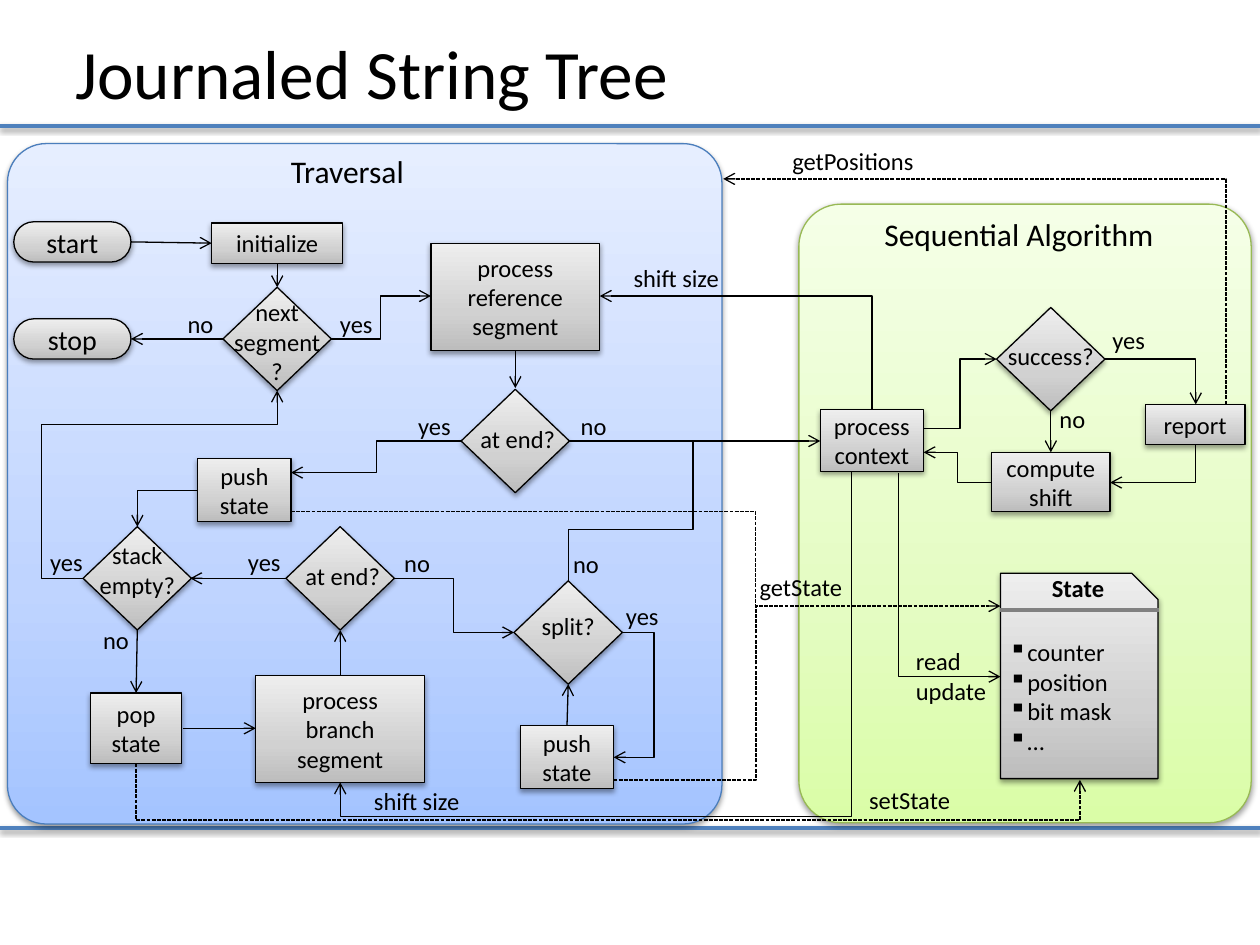
from dataclasses import dataclass

from lxml import etree
from pptx import Presentation
from pptx.dml.color import RGBColor
from pptx.enum.shapes import MSO_CONNECTOR, MSO_SHAPE
from pptx.enum.text import MSO_ANCHOR, PP_ALIGN
from pptx.oxml.ns import qn
from pptx.util import Emu, Inches, Pt

RECT = MSO_SHAPE.RECTANGLE
ROUND = MSO_SHAPE.ROUNDED_RECTANGLE
DIAMOND = MSO_SHAPE.DIAMOND
SNIP = MSO_SHAPE.SNIP_1_RECTANGLE
STRAIGHT, ELBOW = MSO_CONNECTOR.STRAIGHT, MSO_CONNECTOR.ELBOW
LEFT, CENTER = PP_ALIGN.LEFT, PP_ALIGN.CENTER
TOP, MIDDLE = MSO_ANCHOR.TOP, MSO_ANCHOR.MIDDLE
WIDTH, HEIGHT = Inches(10), Inches(7.5)
COLUMNS = 100
CELL = WIDTH / COLUMNS


@dataclass(frozen=True)
class Theme:
    font: str = "Calibri"
    ink: str = "000000"
    rule: str = "4F81BD"
    divider: str = "808080"
    blue_edge: str = "4B7EBC"
    green_edge: str = "98B955"
    gray: tuple = ("BDBDBD", "D1D1D1", "EEEEEE")
    blue: tuple = ("A4C4FF", "BFD4FF", "E6EEFF")
    green: tuple = ("DAFDA7", "E4FCC2", "F5FFE7")
    title: float = 39.6
    heading: float = 18
    terminal: float = 16
    body: float = 14
    thin: float = 0.75
    thick: float = 2


T = Theme()


def grid(*cells):
    return [Emu(round(c * CELL)) for c in cells]


def add(parent, tag, **attrs):
    return etree.SubElement(parent, qn("a:" + tag), {k: str(v) for k, v in attrs.items()})


def add_shadow(effects):
    shadow = add(effects, "outerShdw", blurRad=Pt(3.1), dist=Pt(1.6), dir=5400000, rotWithShape=0)
    add(add(shadow, "srgbClr", val=T.ink), "alpha", val=38000)


def set_gradient(sp, colors):
    sp.fill.gradient()
    grad = sp._element.spPr.find(qn("a:gradFill"))
    for child in list(grad):
        grad.remove(child)
    stops = add(grad, "gsLst")
    for pos, color in zip((0, 35000, 100000), colors):
        add(add(stops, "gs", pos=pos), "srgbClr", val=color)
    add(grad, "lin", ang=16200000, scaled=0)


def write(sp, text, size, align, anchor, bold=False):
    tf = sp.text_frame
    tf.word_wrap = True
    tf.vertical_anchor = anchor
    for i, line in enumerate(text.split("\n")):
        p = tf.add_paragraph() if i else tf.paragraphs[0]
        p.text = line
        p.alignment = align
        p.font.name = T.font
        p.font.size = Pt(size)
        p.font.bold = bold
        p.font.color.rgb = RGBColor.from_string(T.ink)
    return tf


def label(s, text, x, y, w, h, size=T.body, align=LEFT, anchor=TOP, bold=False):
    return write(s.shapes.add_textbox(*grid(x, y, w, h)), text, size, align, anchor, bold)


def box(s, kind, x, y, w, h, text="", size=T.body, colors=T.gray, edge=T.ink, radius=None):
    sp = s.shapes.add_shape(kind, *grid(x, y, w, h))
    if radius is not None:
        sp.adjustments[0] = radius
    set_gradient(sp, colors)
    sp.line.color.rgb = RGBColor.from_string(edge)
    sp.line.width = Pt(T.thin)
    sp.shadow.inherit = False
    add_shadow(sp._element.spPr.find(qn("a:effectLst")))
    if text:
        write(sp, text, size, CENTER, MIDDLE)


def decision(s, text, x, y, drop, shift=-0.2):
    box(s, DIAMOND, x, y, 8.6, 8.2)
    label(s, text, x + shift, y + drop, 9, 3.7, align=CENTER)


def elbow(s, points):
    (x1, y1), bend, (x2, y2) = points[0], points[1], points[-1]
    dx, dy = x2 - x1, y2 - y1
    vertical = bend[0] == x1
    if vertical:
        angle = 270 if dx * dy > 0 else 90
        u, v = (-dy, dx) if angle == 270 else (dy, -dx)
    else:
        angle = 180 if dx < 0 else 0
        u, v = (-dx, -dy) if angle else (dx, dy)
    cx, cy = (x1 + x2) / 2, (y1 + y2) / 2
    c = s.shapes.add_connector(ELBOW, *grid(cx - u / 2, cy - v / 2, cx + u / 2, cy + v / 2))
    spPr = c._element.spPr
    if angle:
        spPr.find(qn("a:xfrm")).set("rot", str(angle * 60000))
    geom = spPr.find(qn("a:prstGeom"))
    geom.set("prst", f"bentConnector{len(points) - 1}")
    guides = geom.find(qn("a:avLst"))
    if guides is None:
        guides = add(geom, "avLst")
    axis = 1 if vertical else 0
    for i, point in enumerate(points[1:-2], 1):
        start, end = points[0][axis], points[-1][axis]
        share = round((point[axis] - start) / (end - start) * 100000)
        add(guides, "gd", name=f"adj{i}", fmla=f"val {share}")
        axis = 1 - axis
    return c


def line(s, *points, color=T.ink, width=T.thin, arrow=True, dashed=False, shadow=False):
    if len(points) == 2:
        c = s.shapes.add_connector(STRAIGHT, *grid(*points[0], *points[1]))
    else:
        c = elbow(s, points)
    c.line.color.rgb = RGBColor.from_string(color)
    c.line.width = Pt(width)
    spPr = c._element.spPr
    ln = spPr.find(qn("a:ln"))
    if dashed:
        add(ln, "prstDash", val="sysDash")
    if arrow:
        add(ln, "tailEnd", type="arrow")
    effects = add(spPr, "effectLst")
    if shadow:
        add_shadow(effects)


def state_card(s):
    box(s, SNIP, 79.4, 45.5, 12.5, 16.3)
    line(s, (79.4, 48.4), (92, 48.4), color=T.divider, width=T.thick, arrow=False)
    label(s, "State", 82.5, 45, 6.4, 3.1, bold=True)
    tf = label(s, "counter\nposition\nbit mask\n…", 79.1, 50.1, 12.6, 10.1)
    for p in tf.paragraphs:
        pPr = p._p.get_or_add_pPr()
        pPr.set("marL", str(Inches(0.01)))
        pPr.set("indent", str(Inches(-0.31)))
        bullet = etree.Element(qn("a:buChar"), char="▪")
        pPr.insert(0, bullet)


def main():
    prs = Presentation()
    prs.slide_width, prs.slide_height = WIDTH, HEIGHT
    s = prs.slides.add_slide(prs.slide_layouts[6])
    for y in (10, 65.7):
        line(s, (0, y), (COLUMNS, y), color=T.rule, width=T.thick, arrow=False, shadow=True)
    box(s, ROUND, 63.4, 16.2, 35.9, 49.1, colors=T.green, edge=T.green_edge, radius=0.093)
    box(s, ROUND, 0.6, 11.4, 56.7, 54, colors=T.blue, edge=T.blue_edge, radius=0.057)
    label(s, "Journaled String Tree", 5, 1.7, 90, 8, T.title, anchor=MIDDLE)
    label(s, "Traversal", 22.1, 11.6, 14.2, 4, T.heading)
    label(s, "Sequential Algorithm", 69.2, 16.6, 23.8, 4, T.heading)
    state_card(s)

    for text, y in (("start", 17.6), ("stop", 25.3)):
        box(s, ROUND, 1.1, y, 9.3, 3.2, text, T.terminal, radius=0.5)
    for text, x, y, w, h in (
        ("initialize", 16.8, 17.7, 10.4, 3.2),
        ("process\nreference segment", 34.2, 19.3, 13.4, 8.5),
        ("process\nbranch\nsegment", 20.3, 53.6, 13.4, 8.5),
        ("push state", 15.7, 36.4, 7.4, 5),
        ("push state", 41.3, 57.6, 7.4, 5),
        ("pop state", 7.2, 55, 7.2, 5.6),
        ("process\ncontext", 65.1, 32.5, 8.2, 4.9),
        ("report", 90.9, 32.1, 7.9, 3.2),
        ("compute shift", 78.7, 35.9, 9.4, 4.7),
    ):
        box(s, RECT, x, y, w, h, text)
    decision(s, "success?", 79.1, 24.4, 2.2)
    decision(s, "next\nsegment?", 17.7, 22.8, 0.3)
    decision(s, "stack\nempty?", 6.6, 41.8, 0.6)
    decision(s, "at end?", 36.6, 30.9, 2.3, 0)
    decision(s, "at end?", 22.7, 41.8, 2.2, 0)
    decision(s, "split?", 40.8, 46.1, 1.9)

    for points in (
        [(10.4, 19.2), (16.8, 19.3)],
        [(22, 20.9), (22, 22.8)],
        [(17.7, 26.9), (10.4, 26.9)],
        [(26.3, 26.9), (30.2, 26.9), (30.2, 23.5), (34.2, 23.5)],
        [(40.9, 27.8), (40.9, 30.8)],
        [(45.2, 35), (65.1, 35)],
        [(36.6, 35), (29.9, 35), (29.9, 37.5), (23.1, 37.5)],
        [(15.7, 38.9), (10.9, 38.9), (10.9, 41.8)],
        [(6.6, 45.9), (3.3, 45.9), (3.3, 33.7), (22, 33.7), (22, 31)],
        [(10.9, 50), (10.8, 55)],
        [(14.5, 57.8), (20.3, 57.8)],
        [(27, 53.6), (27, 50)],
        [(22.7, 45.9), (15.1, 45.9)],
        [(31.3, 45.9), (36, 45.9), (36, 50.2), (40.8, 50.2)],
        [(49.4, 50.2), (51.9, 50.2), (51.9, 60.1), (48.7, 60.1)],
        [(45, 57.6), (45.1, 54.3)],
        [(69.2, 32.5), (69.2, 23.5), (47.6, 23.5)],
        [(67.6, 37.5), (67.6, 64.8), (27, 64.8), (27, 62.1)],
        [(73.3, 34), (76.2, 34), (76.2, 28.5), (79.1, 28.5)],
        [(78.7, 38.3), (76, 38.3), (76, 35.9), (73.3, 35.9)],
        [(87.7, 28.5), (94.9, 28.5), (94.9, 32.1)],
        [(94.9, 35.3), (94.9, 38.3), (88.1, 38.3)],
        [(83.4, 32.6), (83.4, 35.9)],
        [(71.3, 37.5), (71.3, 53.7), (79.4, 53.7)],
    ):
        line(s, *points)
    line(s, (45.1, 46.1), (45.1, 42), (55, 42), (55, 35), arrow=False)
    line(s, (48.7, 61.9), (60, 61.9), (60, 48.1), arrow=False, dashed=True)
    line(s, (23.1, 40.6), (60, 40.6), (60, 48.1), (79.4, 48.1), dashed=True)
    line(s, (10.8, 60.6), (10.8, 65.1), (85.7, 65.1), (85.7, 61.9), dashed=True)
    line(s, (97.3, 32.1), (97.3, 14.2), (57.4, 14.2), dashed=True)

    for text, w, places in (
        ("no", 4.2, ((13.9, 24), (45.1, 32.1), (7.2, 49.1), (31.1, 43), (44.5, 43.1), (83.1, 31.6))),
        ("yes", 5.3, ((26, 24), (32.2, 32.1), (3, 42.9), (18.7, 42.9), (48.7, 47.2), (87.3, 25.3))),
        ("shift size", 11.3, ((49.3, 20.4), (28.7, 61.9))),
        ("getState", 11.3, ((59.3, 44.9),)),
        ("setState", 11.3, ((68, 61.8),)),
        ("getPositions", 13, ((61.9, 11.1),)),
        ("read\nupdate", 9.3, ((71.7, 50.8),)),
    ):
        for x, y in places:
            label(s, text, x, y, w, 3.4)
    prs.save("out.pptx")


if __name__ == "__main__":
    main()
